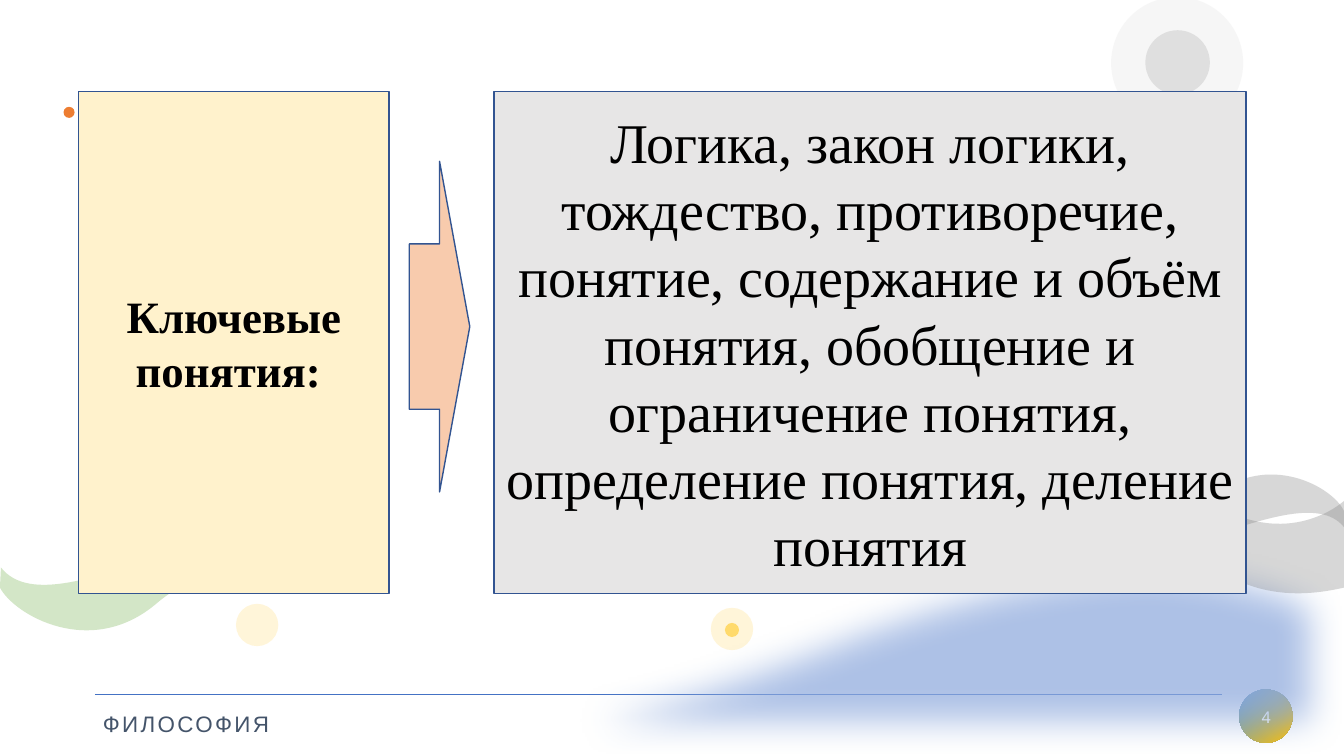
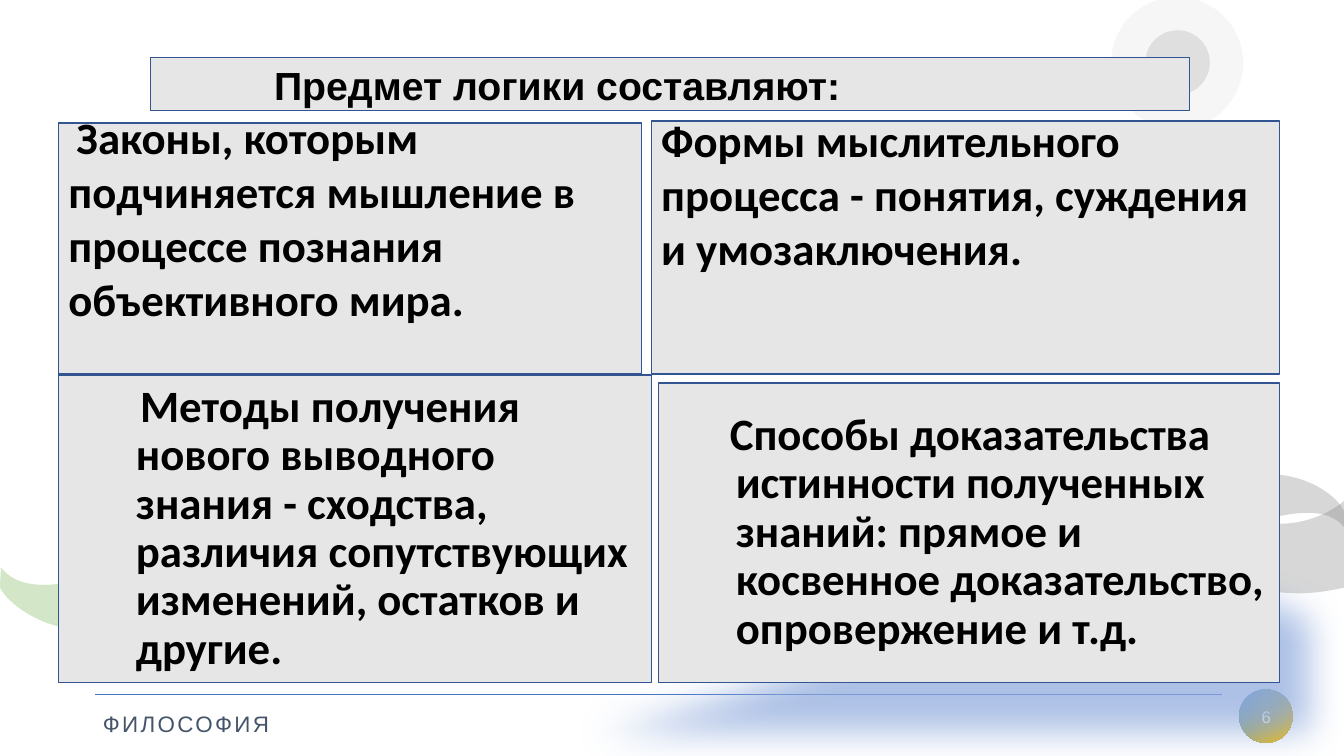
from pptx import Presentation
from pptx.dml.color import RGBColor
from pptx.enum.shapes import MSO_CONNECTOR, MSO_SHAPE
from pptx.enum.text import MSO_ANCHOR, PP_ALIGN
from pptx.oxml.ns import qn
from pptx.util import Inches, Pt
from lxml.etree import SubElement

# Shared look
BLACK, WHITE, GREY, BORDER = "000000", "FFFFFF", "E7E6E6", "325491"
SLATE, BLUE, SKY, GOLD, ORANGE = "44546A", "4472C4", "5B9BD5", "FFC000", "ED7D31"
CREAM, PEACH = "FFF2CC", "F8CBAD"
SERIF, SANS, BODY = "Times New Roman", "Arial", "Calibri"
FOOTER = "ФИЛОСОФИЯ"

# Decorative outlines: colour, opacity, frame, then the start point,
# two-number lines and six-number curves
WAVE = ("8FAADC", 73, (0, 5.33, 13.33, 2.17),
        [(7.9, 6.08), (4.15, 7.57, 1.22, 7.33, 0, 6.89), (0, 7.5), (13.33, 7.5),
         (13.33, 5.71), (13.11, 5.6, 12.47, 5.33, 11.39, 5.33),
         (10.51, 5.33, 9.35, 5.5, 7.9, 6.08)])
RIBBONS = [
    ("70AD47", 30, (0, 5.42, 2.83, 0.83),
     [(1.69, 5.48), (2.39, 5.25, 2.83, 5.8, 2.83, 5.8),
      (2.83, 5.8, 2.19, 5.44, 1.55, 5.99), (0.9, 6.54, 0.14, 6.1, 0, 5.83),
      (0.01, 5.63), (0.29, 5.99, 1, 5.71, 1.69, 5.48)]),
    ("7C7C7C", 30, (10.3, 4.22, 3.04, 1.67),
     [(10.3, 4.22), (10.3, 4.22, 11.01, 4.34, 11.59, 5.16),
      (12.18, 5.99, 12.89, 5.93, 13.33, 5.83), (13.33, 4.97),
      (13.33, 4.97, 12.78, 5.48, 11.99, 4.97),
      (11.2, 4.45, 11.08, 4.24, 10.3, 4.22)]),
    ("7C7C7C", 30, (10.93, 4.71, 2.4, 0.7),
     [(11.89, 5.36), (11.3, 5.56, 10.93, 5.1, 10.93, 5.1),
      (10.93, 5.1, 11.47, 5.4, 12.02, 4.93),
      (12.57, 4.47, 13.22, 4.83, 13.33, 5.07), (13.33, 5.23),
      (13.09, 4.93, 12.48, 5.17, 11.89, 5.36)]),
]
# Circles: left, top, diameter, colour, opacity
RINGS = [(11.02, -0.03, 1.31, "C9C9C9", 15), (11.36, 0.3, 0.64, "C9C9C9", 50)]
GOLD_DOTS = [(2.34, 5.99, 0.42, GOLD, 15), (7.05, 6.03, 0.42, GOLD, 15),
             (7.19, 6.18, 0.14, GOLD, 50)]
BULLET_DOT = (0.63, 1.06, 0.11, ORANGE, 100)

# Slide content: position, text, then options of add_box
KEY_TERMS = [
    ((0.78, 0.91, 3.08, 4.98), "Ключевые понятия: ",
     dict(fill=CREAM, font=SERIF, align=PP_ALIGN.CENTER)),
    ((4.9, 0.91, 7.46, 4.98),
     "Логика, закон логики, тождество, противоречие, понятие, содержание и объём "
     "понятия, обобщение и ограничение понятия, определение понятия, деление понятия",
     dict(font=SERIF, size=40, bold=False, align=PP_ALIGN.CENTER)),
    ((4.06, 1.6, 0.6, 3.28), "", dict(fill=PEACH, shape=MSO_SHAPE.RIGHT_ARROW)),
]
SUBJECT = [
    ((0.58, 1.22, 5.78, 2.49),
     "Законы, которым подчиняется мышление в процессе познания объективного мира.",
     dict(indent=0.08, bottom=0.66)),
    ((6.46, 1.2, 6.23, 2.51),
     "Формы мыслительного процесса - понятия, суждения и умозаключения.",
     dict(bottom=1.12)),
    ((1.49, 0.57, 10.31, 0.53), "Предмет логики составляют:",
     dict(font=SANS, size=28, margin=1.13, spacing=0.9, top=0.13)),
    ((0.58, 3.72, 5.88, 3.05),
     "Методы получения нового выводного знания - сходства, различия сопутствующих "
     "изменений, остатков и другие.",
     dict(margin=0.67, indent=0.04, spacing=0.9)),
    ((6.53, 3.8, 6.16, 2.97),
     "Способы доказательства истинности полученных знаний: прямое и косвенное "
     "доказательство, опровержение и т.д.",
     dict(margin=0.67, indent=-0.06, spacing=0.9)),
]


def rgb(color):
    return RGBColor.from_string(color)


def paint(sp, color, opacity=100):
    """Solid fill with optional transparency, no outline, no shadow."""
    sp.shadow.inherit = False
    sp.fill.solid()
    sp.fill.fore_color.rgb = rgb(color)
    sp.line.fill.background()
    if opacity < 100:
        clr = sp._element.spPr.find(qn("a:solidFill"))[0]
        SubElement(clr, qn("a:alpha"), val=str(opacity * 1000))


def set_font(p, font, size, color, bold=False):
    p.font.name, p.font.size, p.font.bold = font, Pt(size), bold
    p.font.color.rgb = rgb(color)


def add_circle(s, left, top, size, color, opacity=100):
    sp = s.shapes.add_shape(MSO_SHAPE.OVAL, *map(Inches, (left, top, size, size)))
    paint(sp, color, opacity)
    return sp


def add_outline(s, color, opacity, frame, outline, dy=0):
    """Freeform whose frame is given and whose path holds true cubic curves."""
    left, top, width, height = frame
    fb = s.shapes.build_freeform(Inches(left), Inches(top + dy))
    fb.add_line_segments([(Inches(left + width), Inches(top + dy + height))])
    sp = fb.convert_to_shape()
    paint(sp, color, opacity)
    outline_xml = sp._element.spPr.find(".//" + qn("a:path"))
    for child in list(outline_xml):
        outline_xml.remove(child)
    for i, seg in enumerate(outline):
        tag = "a:moveTo" if i == 0 else "a:lnTo" if len(seg) == 2 else "a:cubicBezTo"
        step = SubElement(outline_xml, qn(tag))
        for x, y in zip(seg[::2], seg[1::2]):
            SubElement(step, qn("a:pt"), x=str(Inches(x - left)), y=str(Inches(y - top)))
    SubElement(outline_xml, qn("a:close"))
    return sp


def add_label(s, at, text, size, color):
    tf = s.shapes.add_textbox(*map(Inches, at)).text_frame
    tf.vertical_anchor = MSO_ANCHOR.MIDDLE
    p = tf.paragraphs[0]
    p.text = text
    set_font(p, SANS, size, color)
    return tf


def add_box(s, at, text, fill=GREY, shape=MSO_SHAPE.RECTANGLE, font=BODY, size=32,
            bold=True, align=PP_ALIGN.LEFT, margin=0, indent=0, spacing=None,
            top=0.05, bottom=0.05):
    sp = s.shapes.add_shape(shape, *map(Inches, at))
    paint(sp, fill)
    sp.line.color.rgb = rgb(BORDER)
    sp.line.width = Pt(1)
    if not text:
        return
    tf = sp.text_frame
    tf.word_wrap = True
    tf.vertical_anchor = MSO_ANCHOR.MIDDLE
    tf.margin_top, tf.margin_bottom = Inches(top), Inches(bottom)
    p = tf.paragraphs[0]
    p.text = text
    p.alignment = align
    p.line_spacing = spacing
    set_font(p, font, size, BLACK, bold)
    pPr = p._p.get_or_add_pPr()
    pPr.set("marL", str(Inches(margin)))
    pPr.set("indent", str(Inches(indent)))


def add_footer(s, number):
    # Number badge
    badge = add_circle(s, 12.29, 6.84, 0.53, SKY)
    badge.fill.gradient()
    badge.fill.gradient_angle = 315
    for stop, color in zip(badge.fill.gradient_stops, (SKY, GOLD)):
        stop.color.rgb = rgb(color)
    # Rule
    rule = s.shapes.add_connector(MSO_CONNECTOR.STRAIGHT,
                                  *map(Inches, (0.94, 6.89, 12.12, 6.89)))
    rule.line.color.rgb = rgb(BLUE)
    rule.line.width = Pt(0.5)
    SubElement(rule._element.spPr, qn("a:effectLst"))
    # Course name and page number
    tf = add_label(s, (0.98, 6.89, 1.78, 0.44), FOOTER, 16, SLATE)
    tf.word_wrap = False
    tf.margin_left = tf.margin_right = tf.margin_top = tf.margin_bottom = Inches(0.04)
    p = tf.paragraphs[0]
    p.line_spacing = 1.5
    p.runs[0]._r.get_or_add_rPr().set("spc", "170")
    tf = add_label(s, (12.25, 6.91, 0.62, 0.4), str(number), 12, WHITE)
    tf.word_wrap = True
    tf.paragraphs[0].alignment = PP_ALIGN.CENTER


def add_backdrop(s, dots, wave_shift):
    wave = add_outline(s, *WAVE, dy=wave_shift)
    effects = wave._element.spPr.find(qn("a:effectLst"))
    SubElement(effects, qn("a:softEdge"), rad=str(Pt(25)))
    for ribbon in RIBBONS:
        add_outline(s, *ribbon)
    for circle in RINGS + dots:
        add_circle(s, *circle)


def main():
    prs = Presentation()
    prs.slide_width, prs.slide_height = Inches(13.33), Inches(7.5)
    slides = [(4, KEY_TERMS, GOLD_DOTS + [BULLET_DOT], 0), (6, SUBJECT, [], 0.1)]
    for number, boxes, dots, wave_shift in slides:
        s = prs.slides.add_slide(prs.slide_layouts[6])
        add_footer(s, number)
        add_backdrop(s, dots, wave_shift)
        for at, text, options in boxes:
            add_box(s, at, text, **options)
    prs.save("out.pptx")


if __name__ == "__main__":
    main()
